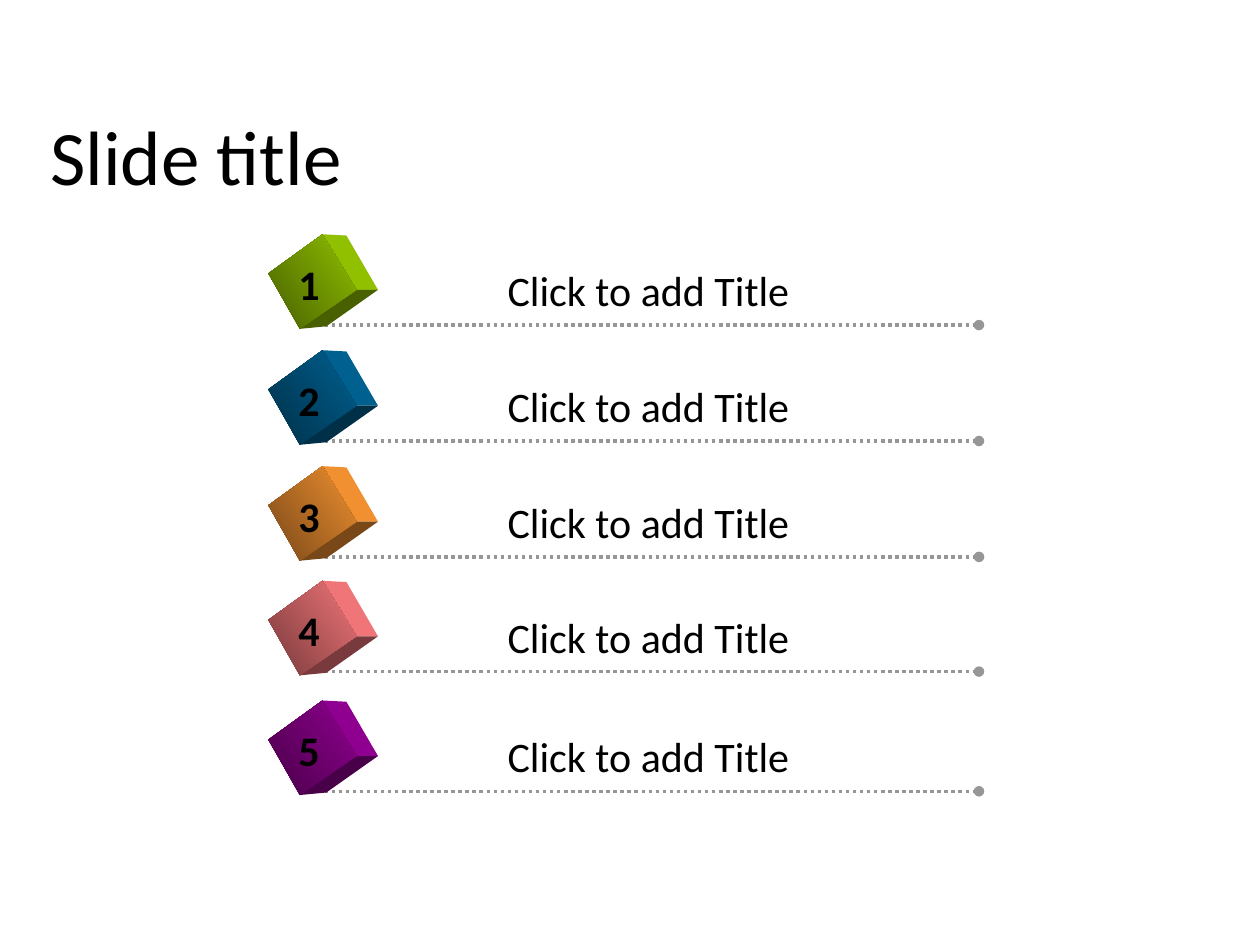
from lxml import etree
from pptx import Presentation
from pptx import util as u
from pptx.dml.color import RGBColor
from pptx.enum import dml, shapes, text
from pptx.oxml.ns import qn

# Content: number, label, cube colour, baseline of the row
TITLE = "Slide title"
ROWS = [
    ("1", "Click to add Title", "99CC00", 2.58),
    ("2", "Click to add Title", "006699", 3.5),
    ("3", "Click to add Title", "FF9933", 4.42),
    ("4", "Click to add Title", "FF7C80", 5.33),
    ("5", "Click to add Title", "990099", 6.28),
]
THEME = {"font": "Calibri", "ink": "000000", "rule": "969696",
         "title": 44, "body": 24, "lit": 0.94, "shade": 0.47}

# Cube corners: x on the slide, y from the row's baseline
LEFT, TOP, INNER, BOTTOM = (2.13, -0.41), (2.56, -0.72), (2.83, -0.28), (2.38, 0.03)
BACK_TOP, BACK_RIGHT, BACK_BOTTOM = (2.75, -0.71), (3, -0.28), (2.59, 0.01)
FRONT = (LEFT, TOP, INNER, BOTTOM)
SIDE = (TOP, BACK_TOP, BACK_RIGHT, INNER)
UNDERSIDE = (BOTTOM, INNER, BACK_RIGHT, BACK_BOTTOM)

prs = Presentation()
prs.slide_width, prs.slide_height = u.Inches(10), u.Inches(7.5)
slide = prs.slides.add_slide(prs.slide_layouts[6])


def toned(colour, factor):
    return RGBColor(*(round(c * factor) for c in RGBColor.from_string(colour)))


def add_text(words, left, top, width, height, size, bold=False, wrap=False):
    box = slide.shapes.add_textbox(*map(u.Inches, (left, top, width, height)))
    frame = box.text_frame
    frame.word_wrap = wrap
    paragraph = frame.paragraphs[0]
    paragraph.text = words
    font = paragraph.font
    font.name, font.size, font.bold = THEME["font"], u.Pt(size), bold
    font.color.rgb = RGBColor.from_string(THEME["ink"])
    return frame


def add_face(corners, baseline):
    points = [(u.Inches(x), u.Inches(baseline + y)) for x, y in corners]
    builder = slide.shapes.build_freeform(*points[0])
    builder.add_line_segments(points[1:], close=True)
    face = builder.convert_to_shape()
    face.shadow.inherit = False
    face.line.fill.background()
    return face


def add_cube(colour, baseline):
    lit, shade = toned(colour, THEME["lit"]), toned(colour, THEME["shade"])
    for corners, tone in ((SIDE, lit), (UNDERSIDE, shade)):
        fill = add_face(corners, baseline).fill
        fill.solid()
        fill.fore_color.rgb = tone
    fill = add_face(FRONT, baseline).fill
    fill.gradient()
    fill.gradient_angle = 36
    for stop, tone in zip(fill.gradient_stops, (shade, lit)):
        stop.color.rgb = tone


def add_rule(baseline):
    rule = slide.shapes.add_connector(
        shapes.MSO_CONNECTOR.STRAIGHT,
        *map(u.Inches, (2.52, baseline, 7.77, baseline)))
    rule.line.color.rgb = RGBColor.from_string(THEME["rule"])
    rule.line.width = u.Pt(2)
    rule.line.dash_style = dml.MSO_LINE.ROUND_DOT  # sysDot
    etree.SubElement(rule.line._get_or_add_ln(), qn("a:tailEnd"), type="oval")
    etree.SubElement(rule._element.spPr, qn("a:effectLst"))


# Title
heading = add_text(TITLE, 0.3, 0.55, 8.42, 1.45, THEME["title"], wrap=True)
heading.vertical_anchor = text.MSO_ANCHOR.MIDDLE
heading.paragraphs[0].line_spacing = 0.9

# Numbered rows
for number, label, colour, baseline in ROWS:
    add_rule(baseline)
    add_cube(colour, baseline)
    add_text(label, 3.93, baseline - 0.53, 2.46, 0.51, THEME["body"])
    add_text(number, 2.27, baseline - 0.58, 0.37, 0.51, THEME["body"], bold=True)

prs.save("out.pptx")
